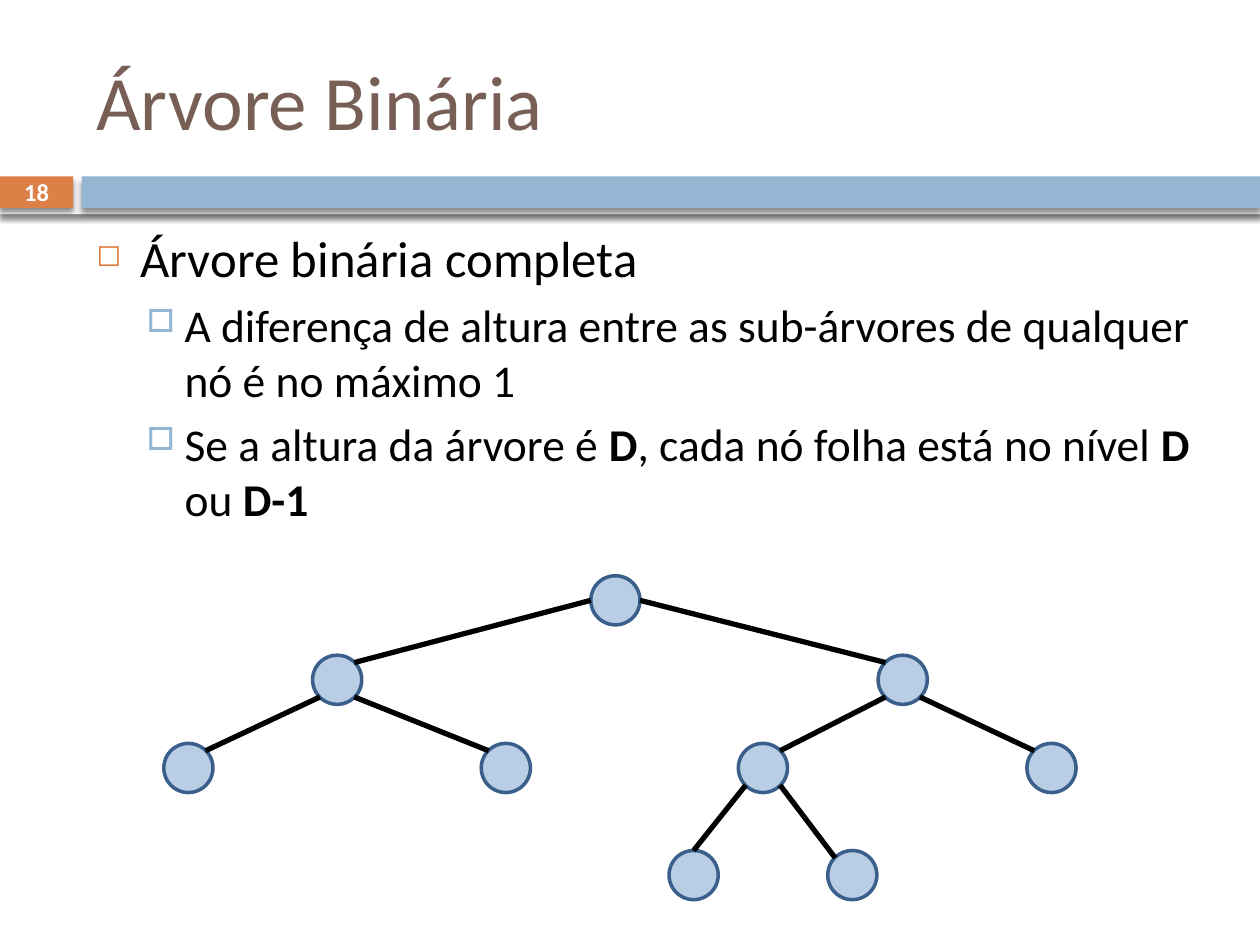
from dataclasses import dataclass

from lxml import etree
from pptx import Presentation
from pptx.dml.color import RGBColor
from pptx.enum.shapes import MSO_CONNECTOR, MSO_SHAPE
from pptx.enum.text import MSO_ANCHOR, PP_ALIGN
from pptx.oxml.ns import qn
from pptx.util import Pt

RECT, OVAL = MSO_SHAPE.RECTANGLE, MSO_SHAPE.OVAL
LINE = MSO_CONNECTOR.STRAIGHT
TOP, MIDDLE = MSO_ANCHOR.TOP, MSO_ANCHOR.MIDDLE
CENTER = PP_ALIGN.CENTER


@dataclass(frozen=True)
class Theme:
    face: str = "Calibri"
    white: str = "FFFFFF"
    black: str = "000000"
    brown: str = "775F55"
    orange: str = "DD8047"
    blue: str = "94B6D2"
    node: str = "B9CDE5"
    rim: str = "3A5F8B"
    title: float = 44
    head: float = 29
    item: float = 26
    num: float = 14


THEME = Theme()

LEVELS = [
    dict(size=THEME.head, left=25.2, hang=25.2, gap=7,
         mark="◻", tint=THEME.orange, scale=60),
    dict(size=THEME.item, left=50.4, hang=21.6, gap=5.5,
         mark="□", tint=THEME.blue, scale=70),
]

ITEMS = [
    (0, [("Árvore binária completa", False)]),
    (1, [("A diferença de altura entre as sub-árvores de qualquer "
          "nó é no máximo 1", False)]),
    (1, [("Se a altura da árvore é ", False), ("D", True),
         (", cada nó folha está no nível ", False), ("D", True),
         (" ou ", False), ("D-1", True)]),
]

NODE = 28.1
NODES = {
    "root": (244, 0),
    "l": (85, 45.4), "r": (408.2, 45.4),
    "ll": (0, 95.8), "lr": (181.4, 95.8),
    "rl": (328.3, 95.8), "rr": (493.2, 95.8),
    "rll": (288.7, 157), "rlr": (379.4, 157),
}
SITES = {
    "n": (0.5, 0), "w": (0, 0.5), "e": (1, 0.5),
    "nw": (0.15, 0.15), "ne": (0.85, 0.15),
    "sw": (0.15, 0.85), "se": (0.85, 0.85),
}
EDGES = [
    ("root", "w", "l", "ne"), ("root", "e", "r", "nw"),
    ("l", "sw", "ll", "ne"), ("l", "se", "lr", "nw"),
    ("r", "sw", "rl", "ne"), ("r", "se", "rr", "nw"),
    ("rl", "sw", "rll", "n"), ("rl", "se", "rlr", "nw"),
]


def color(code):
    return RGBColor.from_string(code)


def style(font, size, tint, bold=False):
    font.name = THEME.face
    font.size = Pt(size)
    font.bold = bold
    font.color.rgb = color(tint)


def add_text(slide, box, anchor):
    frame = slide.shapes.add_textbox(*map(Pt, box)).text_frame
    frame.word_wrap = True
    frame.vertical_anchor = anchor
    return frame


def add_bar(slide, box, fill):
    bar = slide.shapes.add_shape(RECT, *map(Pt, box))
    bar.fill.solid()
    bar.fill.fore_color.rgb = color(fill)
    bar.line.fill.background()
    bar.shadow.inherit = False
    effects = bar._element.spPr.find(qn("a:effectLst"))
    shade = etree.SubElement(
        effects, qn("a:outerShdw"), blurRad=str(Pt(3)), dist=str(Pt(2.4)),
        dir="5400000", algn="ctr", rotWithShape="0")
    tint = etree.SubElement(shade, qn("a:srgbClr"), val=THEME.black)
    etree.SubElement(tint, qn("a:alpha"), val="45000")


def add_band(slide, box):
    left, top, width, height = box
    inner, tall, tab, start = top + 3.6, 18, 41.9, 46.8
    add_bar(slide, box, THEME.white)
    add_bar(slide, (left, inner, tab, tall), THEME.orange)
    add_bar(slide, (left + start, inner, width - start, tall), THEME.blue)
    frame = add_text(slide, (left, top + 2.9, tab, 19.4), MIDDLE)
    para = frame.paragraphs[0]
    para.text = "18"
    para.alignment = CENTER
    style(para.font, THEME.num, THEME.white, True)


def add_title(slide, box):
    para = add_text(slide, box, MIDDLE).paragraphs[0]
    para.text = "Árvore Binária"
    style(para.font, THEME.title, THEME.brown)


def add_bullet(para, level):
    props = para._p.get_or_add_pPr()
    props.set("marL", str(Pt(level["left"])))
    props.set("indent", str(-Pt(level["hang"])))
    tint = etree.SubElement(props, qn("a:buClr"))
    etree.SubElement(tint, qn("a:srgbClr"), val=level["tint"])
    etree.SubElement(props, qn("a:buSzPct"), val=str(level["scale"] * 1000))
    etree.SubElement(props, qn("a:buChar"), char=level["mark"])


def add_body(slide, box):
    frame = add_text(slide, box, TOP)
    for index, (depth, parts) in enumerate(ITEMS):
        level = LEVELS[depth]
        para = frame.add_paragraph() if index else frame.paragraphs[0]
        para.level = depth
        add_bullet(para, level)
        para.space_before = Pt(level["gap"] if index else 0)
        style(para.font, level["size"], THEME.black)
        for words, bold in parts:
            run = para.add_run()
            run.text = words
            if bold:
                run.font.bold = True


def add_tree(slide, left, top):
    group = slide.shapes.add_group_shape().shapes

    def spot(name, site):
        (x, y), (across, down) = NODES[name], SITES[site]
        return Pt(left + x + across * NODE), Pt(top + y + down * NODE)

    for x, y in NODES.values():
        node = group.add_shape(
            OVAL, Pt(left + x), Pt(top + y), Pt(NODE), Pt(NODE))
        node.fill.solid()
        node.fill.fore_color.rgb = color(THEME.node)
        node.line.color.rgb = color(THEME.rim)
        node.line.width = Pt(2)
        node.shadow.inherit = False

    for parent, start, child, end in EDGES:
        edge = group.add_connector(
            LINE, *spot(parent, start), *spot(child, end))
        edge.line.color.rgb = color(THEME.black)
        edge.line.width = Pt(3)
        etree.SubElement(edge._element.spPr, qn("a:effectLst"))


def main():
    deck = Presentation()
    deck.slide_width, deck.slide_height = Pt(720), Pt(540)
    slide = deck.slides.add_slide(deck.slide_layouts[6])
    add_band(slide, (0, 97.2, 720, 25.2))
    add_title(slide, (48, 18, 642, 78))
    add_body(slide, (48, 126, 642, 354))
    add_tree(slide, 93.6, 329)
    deck.save("out.pptx")


if __name__ == "__main__":
    main()
